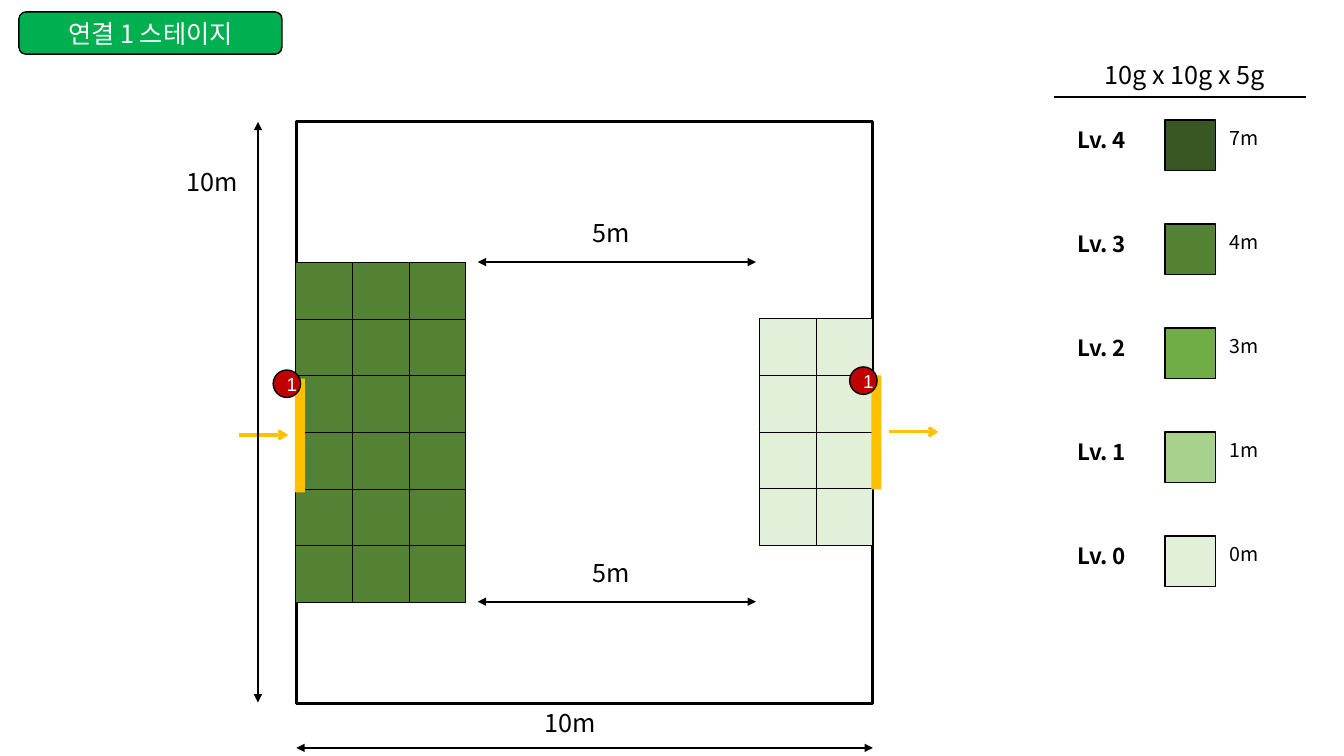
"""Build the floor plan of the first connecting stage with its height legend."""
from lxml import etree
from pptx import Presentation
from pptx.dml.color import RGBColor
from pptx.enum import shapes, text
from pptx.oxml import ns
from pptx.util import Pt

BLACK = RGBColor(0x00, 0x00, 0x00)
WHITE = RGBColor(0xFF, 0xFF, 0xFF)
TITLE_GREEN = RGBColor(0x00, 0xB0, 0x50)
GATE_YELLOW = RGBColor(0xFF, 0xC0, 0x00)
BADGE_RED = RGBColor(0xC0, 0x00, 0x00)
LEVEL_4 = RGBColor(0x38, 0x57, 0x23)
LEVEL_3 = RGBColor(0x54, 0x82, 0x35)
LEVEL_2 = RGBColor(0x70, 0xAD, 0x47)
LEVEL_1 = RGBColor(0xA9, 0xD1, 0x8E)
LEVEL_0 = RGBColor(0xE2, 0xF0, 0xD9)

LEVELS = [
    ("Lv. 4", LEVEL_4, "7m"),
    ("Lv. 3", LEVEL_3, "4m"),
    ("Lv. 2", LEVEL_2, "3m"),
    ("Lv. 1", LEVEL_1, "1m"),
    ("Lv. 0", LEVEL_0, "0m"),
]
KOREAN = "Noto Sans CJK KR"
TILE = 40.5
CENTER = text.PP_ALIGN.CENTER
SHAPE = shapes.MSO_SHAPE


def write(frame, words, size, color=BLACK, font=KOREAN, bold=False, align=CENTER):
    """Put one formatted line of words into a text frame."""
    line = frame.paragraphs[0]
    line.text = words
    line.alignment = align
    for run in line.runs:
        run.font.size = Pt(size)
        run.font.bold = bold
        run.font.color.rgb = color
        run.font.name = font
        etree.SubElement(run.font._element, ns.qn("a:ea"), typeface=font)


def add_block(slide, kind, left, top, width, height, fill=None, border=None):
    """Add a preset shape with an optional fill and black border width."""
    block = slide.shapes.add_shape(kind, Pt(left), Pt(top), Pt(width), Pt(height))
    block.shadow.inherit = False
    if fill is None:
        block.fill.background()
    else:
        block.fill.solid()
        block.fill.fore_color.rgb = fill
    if border is None:
        block.line.fill.background()
    else:
        block.line.color.rgb = BLACK
        block.line.width = Pt(border)
    return block


def add_label(slide, words, left, top, width, size, bold=False, align=CENTER):
    """Add a wrapped one-line text box."""
    label = slide.shapes.add_textbox(Pt(left), Pt(top), Pt(width), Pt(size * 1.6))
    label.text_frame.word_wrap = True
    write(label.text_frame, words, size, bold=bold, align=align)


def add_line(slide, start, end, width, color=BLACK, head=None, tail=None):
    """Add a straight line with optional arrowheads."""
    line = slide.shapes.add_connector(
        shapes.MSO_CONNECTOR.STRAIGHT, *(Pt(value) for value in start + end))
    line.line.color.rgb = color
    line.line.width = Pt(width)
    stroke = line.line._get_or_add_ln()
    for tag, tip in (("a:headEnd", head), ("a:tailEnd", tail)):
        if tip:
            etree.SubElement(stroke, ns.qn(tag), type=tip)
    etree.SubElement(line._element.spPr, ns.qn("a:effectLst"))


def add_dimension(slide, start, end, words, left, top):
    """Add a double-headed measure with its length."""
    add_line(slide, start, end, 1.5, head="triangle", tail="triangle")
    add_label(slide, words, left, top, 158.4, 18)


def add_platform(slide, left, top, columns, rows, color):
    """Add a grid of one-metre tiles."""
    for row in range(rows):
        for column in range(columns):
            add_block(slide, SHAPE.RECTANGLE, left + column * TILE, top + row * TILE,
                      TILE, TILE, color, 0.25)


def add_gate(slide, left, top, arrow_offset):
    """Add a gate bar, its direction arrow and its numbered badge."""
    add_block(slide, SHAPE.RECTANGLE, left, top, 7.2, 81.4, GATE_YELLOW)
    arrow_left, arrow_top = left + arrow_offset, top + 40.3
    add_line(slide, (arrow_left, arrow_top), (arrow_left + 35.3, arrow_top),
             2.25, GATE_YELLOW, tail="arrow")
    badge = add_block(slide, SHAPE.OVAL, left - 15.5, top - 6.1, 19.6, 19.6, BADGE_RED, 1)
    write(badge.text_frame, "1", 13.4, WHITE, "Arial")


def add_legend(slide):
    """Add the legend of height levels."""
    add_label(slide, "10g x 10g x 5g", 766.8, 38.9, 158.4, 18)
    add_line(slide, (753.1, 69.2), (933.1, 69.2), 1)
    for index, (level, color, height) in enumerate(LEVELS):
        top = 85.7 + index * 74.3
        add_block(slide, SHAPE.RECTANGLE, 832.3, top, 36, 36, color, 1)
        add_label(slide, level, 762.5, top + 1, 77, 16, True, text.PP_ALIGN.LEFT)
        add_label(slide, height, 871.2, top + 1, 51.1, 14, align=text.PP_ALIGN.LEFT)


def main():
    """Build and save the slide."""
    deck = Presentation()
    deck.slide_width, deck.slide_height = Pt(960), Pt(540)
    slide = deck.slides.add_slide(deck.slide_layouts[6])

    add_block(slide, SHAPE.RECTANGLE, 211.7, 87.1, 411.8, 415.4, border=2.25)
    add_legend(slide)
    title = add_block(slide, SHAPE.ROUNDED_RECTANGLE, 13.5, 8.5, 187.9, 30.2, TITLE_GREEN, 1)
    write(title.text_frame, "연결 1 스테이지", 18, WHITE)

    add_platform(slide, 542.3, 227.5, 2, 4, LEVEL_0)
    add_gate(slide, 622.4, 268.2, 12.6)
    add_platform(slide, 211, 187.2, 3, 6, LEVEL_3)
    add_gate(slide, 210.6, 270.4, -40)

    for top in (187.2, 429.8):
        add_dimension(slide, (341.3, top), (540, top), "5m", 357.1, top - 35.3)
    add_dimension(slide, (211.7, 534.2), (623.5, 534.2), "10m", 328.3, 501.8)
    add_dimension(slide, (184.3, 87.1), (184.3, 501.8), "10m", 72.7, 115.2)
    deck.save("out.pptx")


if __name__ == "__main__":
    main()
